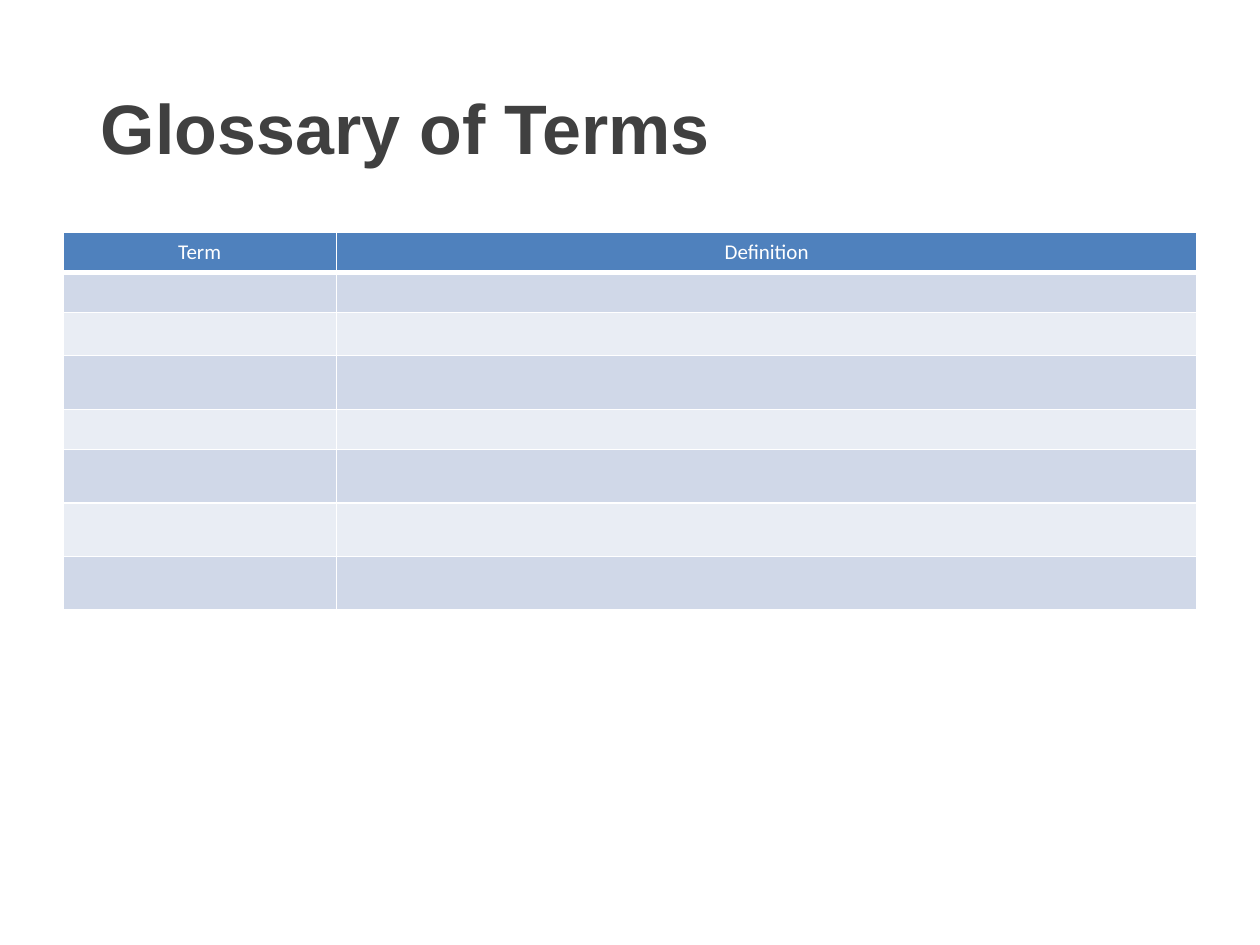
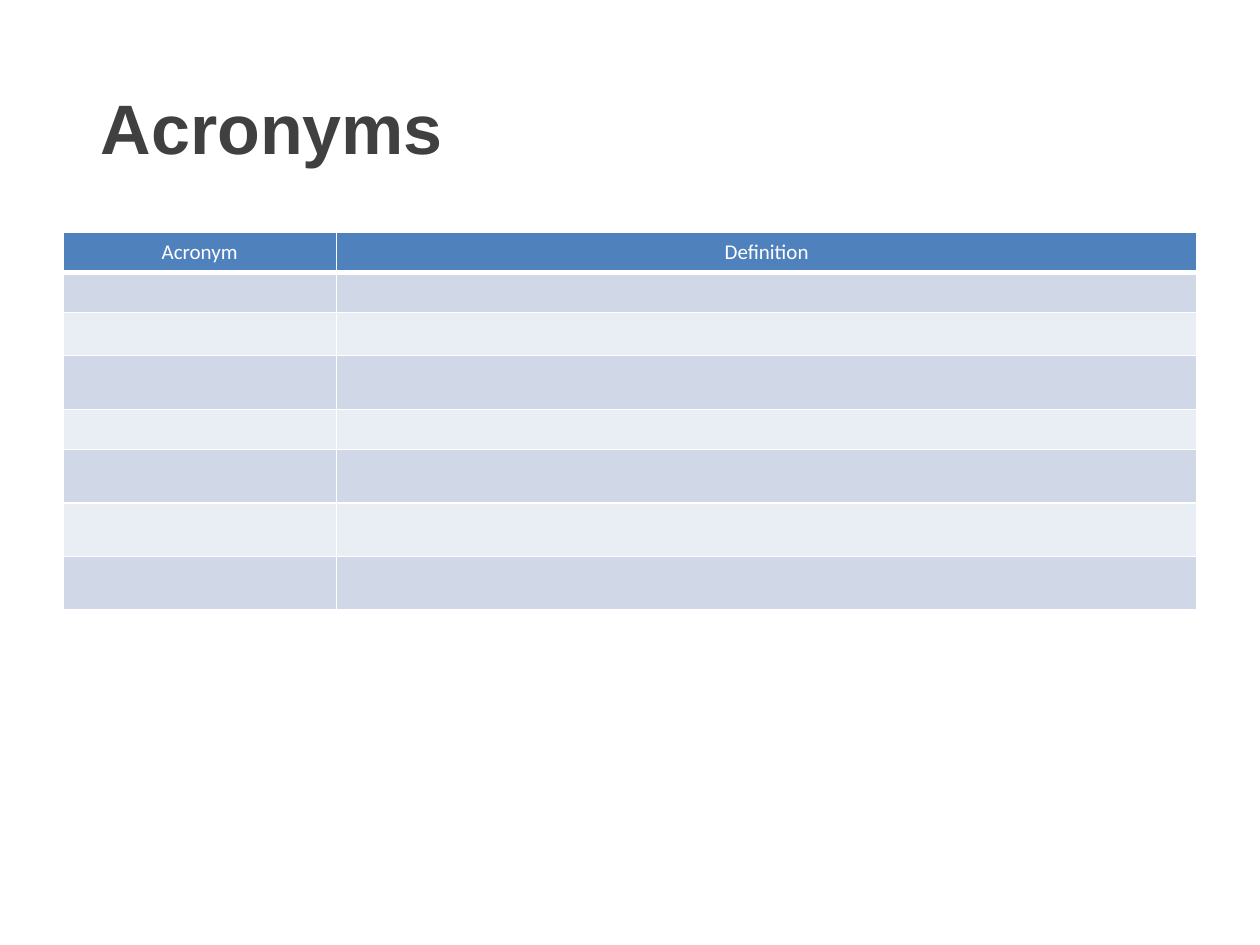
from pptx import Presentation
from pptx.dml.color import RGBColor
from pptx.enum.text import MSO_ANCHOR, PP_ALIGN
from pptx.oxml.ns import qn
from pptx.util import Cm, Pt
from lxml import etree

TOP, MIDDLE = MSO_ANCHOR.TOP, MSO_ANCHOR.MIDDLE
LEFT, CENTER = PP_ALIGN.LEFT, PP_ALIGN.CENTER
TITLE_ONLY = 5

COLORS = {
    "title": "404040",
    "header": "4F81BD",
    "odd row": "D0D8E8",
    "even row": "E9EDF4",
    "white": "FFFFFF",
}
COL_WIDTHS = [5.51, 17.35]
ROW_HEIGHTS = [0.8, 0.81, 0.87, 1.08, 0.81, 1.08, 1.08, 1.08]
SLIDES = [
    ("Glossary of Terms", ["Term", "Definition"]),
    ("Acronyms", ["Acronym", "Definition"]),
]


def rgb(name):
    return RGBColor.from_string(COLORS[name])


def format_cell(cell, fill, bottom_width):
    """Fill a cell and give it white borders, 1 pt wide except at the bottom."""
    tcPr = cell._tc.get_or_add_tcPr()
    for side, width in (("L", 1), ("R", 1), ("T", 1), ("B", bottom_width)):
        ln = etree.SubElement(tcPr, qn(f"a:ln{side}"), w=str(Pt(width)))
        solid = etree.SubElement(ln, qn("a:solidFill"))
        etree.SubElement(solid, qn("a:srgbClr"), val=COLORS["white"])
    cell.fill.solid()
    cell.fill.fore_color.rgb = rgb(fill)
    cell.vertical_anchor = MIDDLE
    p = cell.text_frame.paragraphs[0]
    p.alignment = CENTER
    p.font.name = "Calibri"
    p.font.size = Pt(12)
    p.font.bold = False
    p.font.color.rgb = rgb("white")


prs = Presentation()
prs.slide_width, prs.slide_height = Cm(25.4), Cm(19.05)

for title, headers in SLIDES:
    s = prs.slides.add_slide(prs.slide_layouts[TITLE_ONLY])

    sp = s.shapes.title
    sp.left, sp.top, sp.width, sp.height = Cm(1.78), Cm(1.4), Cm(21.87), Cm(2.92)
    tf = sp.text_frame
    tf.text = title
    tf.vertical_anchor = TOP
    tf.margin_top = Cm(0.3)
    p = tf.paragraphs[0]
    p.alignment = LEFT
    p.font.name = "Arial"
    p.font.size = Pt(40)
    p.font.bold = True
    p.font.color.rgb = rgb("title")

    table = s.shapes.add_table(
        len(ROW_HEIGHTS), len(COL_WIDTHS), Cm(1.27), Cm(4.69),
        Cm(sum(COL_WIDTHS)), Cm(sum(ROW_HEIGHTS))).table
    for column, width in zip(table.columns, COL_WIDTHS):
        column.width = Cm(width)
    for cell, header in zip(table.rows[0].cells, headers):
        cell.text = header
    for i, (row, height) in enumerate(zip(table.rows, ROW_HEIGHTS)):
        row.height = Cm(height)
        fill = "header" if i == 0 else "odd row" if i % 2 else "even row"
        for cell in row.cells:
            format_cell(cell, fill, bottom_width=3 if i == 0 else 1)

prs.save("out.pptx")
